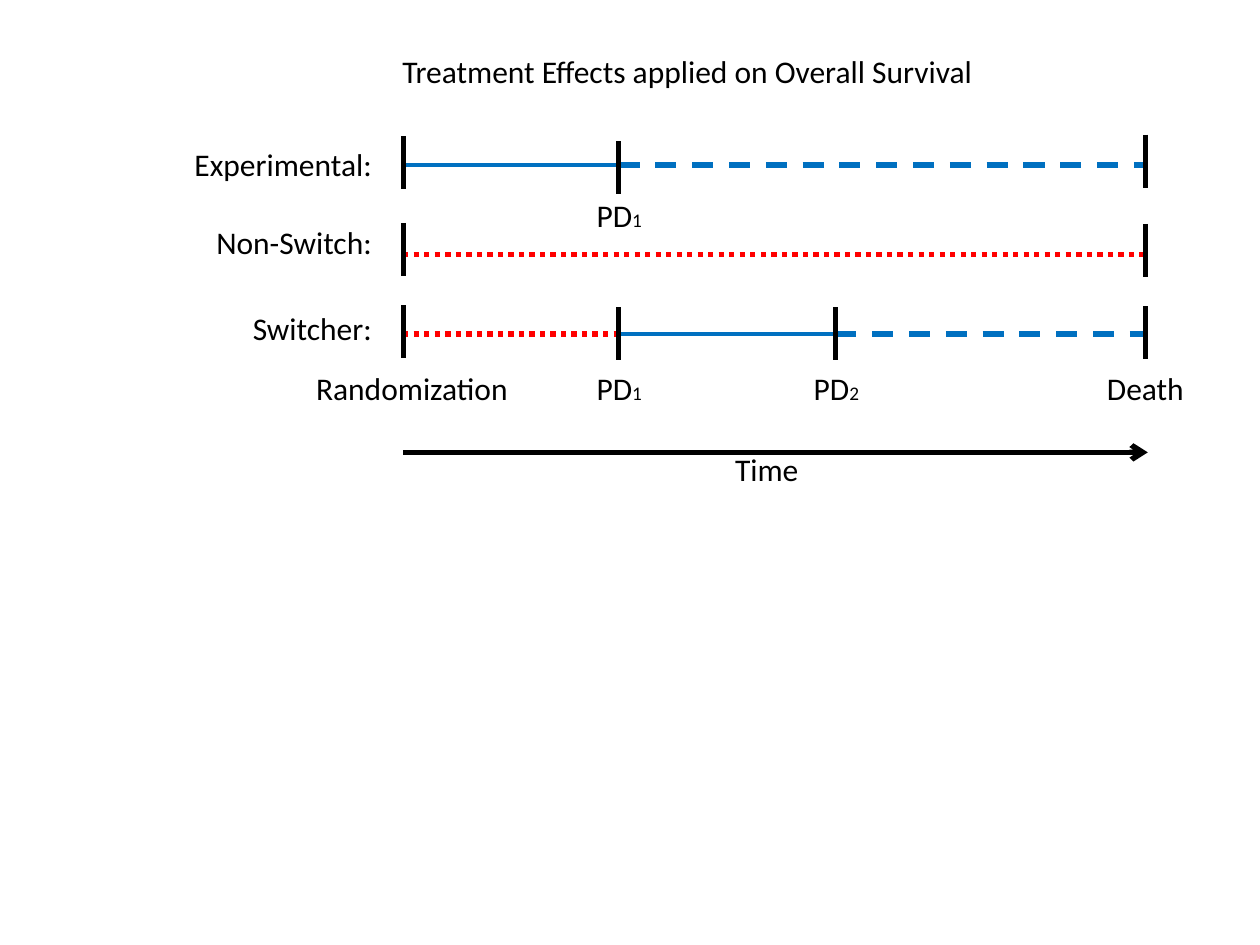
from lxml.etree import SubElement
from pptx import Presentation
from pptx.dml.color import RGBColor
from pptx.enum.dml import MSO_LINE
from pptx.enum.shapes import MSO_CONNECTOR
from pptx.enum.text import MSO_ANCHOR, MSO_AUTO_SIZE, PP_ALIGN
from pptx.oxml.ns import qn
from pptx.util import Pt

COLORS = {"text": "000000", "treatment": "0070C0", "control": "FF0000"}
RANDOMIZATION, FIRST_PD, SECOND_PD, DEATH = 230.4, 353.5, 477.4, 654.5
EXPERIMENTAL, NON_SWITCH, SWITCHER = 94.3, 145.4, 190.8
TICK_HEIGHT = 30.2
LABEL_HEIGHT = 29.1

presentation = Presentation()
presentation.slide_width = Pt(720)
presentation.slide_height = Pt(540)
slide = presentation.slides.add_slide(presentation.slide_layouts[5])


def add_line(x1, y1, x2, y2, color="text", width=3, dash=None):
    connector = slide.shapes.add_connector(
        MSO_CONNECTOR.STRAIGHT, Pt(x1), Pt(y1), Pt(x2), Pt(y2))
    connector.line.color.rgb = RGBColor.from_string(COLORS[color])
    connector.line.width = Pt(width)
    if dash is not None:
        connector.line.dash_style = dash
    SubElement(connector._element.spPr, qn("a:effectLst"))
    return connector


def write_label(shape, left, top, width, alignment, text, subscript=""):
    shape.left, shape.top = Pt(left), Pt(top)
    shape.width, shape.height = Pt(width), Pt(LABEL_HEIGHT)
    frame = shape.text_frame
    frame.word_wrap = True
    frame.auto_size = MSO_AUTO_SIZE.NONE
    frame.vertical_anchor = MSO_ANCHOR.TOP
    paragraph = frame.paragraphs[0]
    paragraph.alignment = alignment
    for content, size in ((text, 18), (subscript, 11)):
        if content:
            run = paragraph.add_run()
            run.text = content
            run.font.name = "Calibri"
            run.font.size = Pt(size)
            run.font.color.rgb = RGBColor.from_string(COLORS["text"])


write_label(slide.shapes.title, 106.6, 25.9, 572.4, PP_ALIGN.CENTER,
            "Treatment Effects applied on Overall Survival")

segments = [
    (RANDOMIZATION, FIRST_PD, EXPERIMENTAL, "treatment", 2.25, None),
    (FIRST_PD, DEATH, EXPERIMENTAL, "treatment", 3, MSO_LINE.DASH),
    (RANDOMIZATION, DEATH, NON_SWITCH, "control", 3, MSO_LINE.ROUND_DOT),
    (RANDOMIZATION, FIRST_PD, SWITCHER, "control", 3, MSO_LINE.ROUND_DOT),
    (FIRST_PD, SECOND_PD, SWITCHER, "treatment", 2.25, None),
    (SECOND_PD, DEATH, SWITCHER, "treatment", 3, MSO_LINE.DASH),
]
for start, end, y, color, width, dash in segments:
    add_line(start, y, end, y, color, width, dash)

ticks = [
    (RANDOMIZATION, 77.8), (FIRST_PD, 80.6), (DEATH, 77),
    (RANDOMIZATION, 127.4), (DEATH, 128),
    (RANDOMIZATION, 174.4), (FIRST_PD, 175.7), (SECOND_PD, 175.7), (DEATH, 175),
]
for x, top in ticks:
    add_line(x, top, x, top + TICK_HEIGHT)

time_arrow = add_line(RANDOMIZATION, 258.5, 655.9, 258.5)
SubElement(time_arrow.line._get_or_add_ln(), qn("a:tailEnd"), type="arrow")

labels = [
    (70.6, 79.2, 149, PP_ALIGN.RIGHT, "Experimental:"),
    (70.6, 123.8, 149, PP_ALIGN.RIGHT, "Non-Switch:"),
    (70.6, 172.8, 149, PP_ALIGN.RIGHT, "Switcher:"),
    (326.2, 108.7, 55.4, PP_ALIGN.CENTER, "PD", "1"),
    (173.5, 207.4, 126, PP_ALIGN.LEFT, "Randomization"),
    (326.2, 207.4, 55.4, PP_ALIGN.CENTER, "PD", "1"),
    (457.9, 207.4, 55.4, PP_ALIGN.LEFT, "PD", "2"),
    (617.8, 207.4, 73.4, PP_ALIGN.CENTER, "Death"),
    (375.1, 253.4, 126, PP_ALIGN.CENTER, "Time"),
]
for label in labels:
    write_label(slide.shapes.add_textbox(0, 0, 0, 0), *label)

presentation.save("out.pptx")
